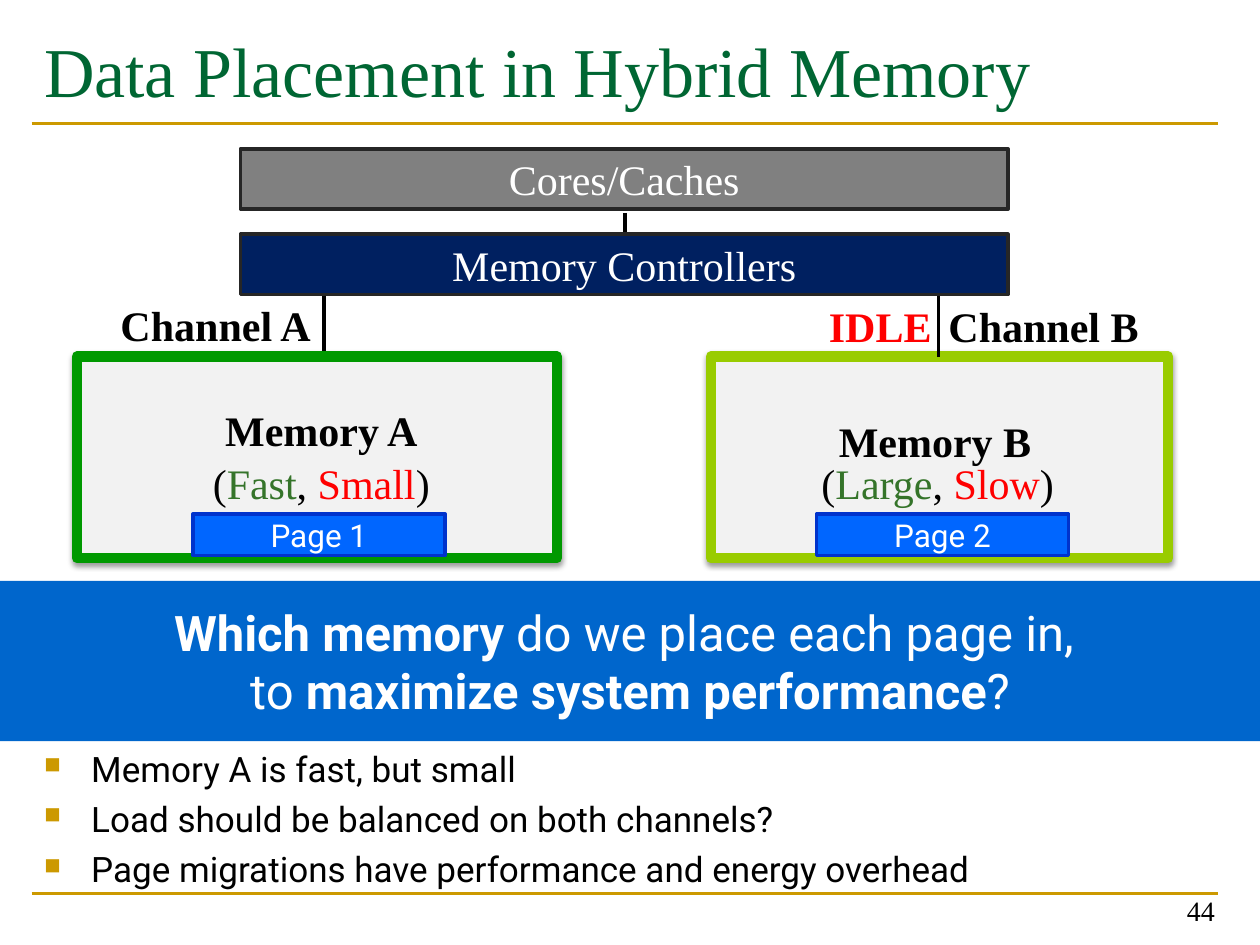
from dataclasses import dataclass

from lxml.etree import SubElement
from pptx import Presentation
from pptx.dml.color import RGBColor
from pptx.enum.shapes import MSO_CONNECTOR, MSO_SHAPE
from pptx.enum.text import MSO_ANCHOR, PP_ALIGN
from pptx.oxml.ns import qn
from pptx.util import Cm, Pt

SERIF = "Times New Roman"
SANS = "Roboto"
BLACK = RGBColor(0x00, 0x00, 0x00)
WHITE = RGBColor(0xFF, 0xFF, 0xFF)
RED = RGBColor(0xFF, 0x00, 0x00)
TITLE_GREEN = RGBColor(0x00, 0x66, 0x33)
GOOD_GREEN = RGBColor(0x35, 0x74, 0x2A)
GOLD = RGBColor(0xCC, 0x99, 0x00)
PALE_GREY = RGBColor(0xF2, 0xF2, 0xF2)
CORE_GREY = RGBColor(0x80, 0x80, 0x80)
DARK_GREY = RGBColor(0x26, 0x26, 0x26)
NAVY = RGBColor(0x00, 0x20, 0x60)
PAGE_BLUE = RGBColor(0x00, 0x66, 0xFF)
PAGE_EDGE = RGBColor(0x00, 0x33, 0xCC)
BANNER_BLUE = RGBColor(0x00, 0x66, 0xCC)
FAST_GREEN = RGBColor(0x00, 0x99, 0x00)
SLOW_GREEN = RGBColor(0x99, 0xCC, 0x00)

LABEL_HEIGHT = 1.27
MEMORY_TOP, MEMORY_HEIGHT = 7.19, 4.06
TRAITS_TOP = 9.09
PAGE_TOP, PAGE_WIDTH, PAGE_HEIGHT = 10.36, 5.08, 0.84
BAR_LEFT, BAR_WIDTH, BAR_HEIGHT = 4.85, 15.47, 1.22


@dataclass(frozen=True)
class Box:
    left: float
    top: float
    width: float
    height: float = LABEL_HEIGHT

    def lengths(self) -> list:
        return [Cm(v) for v in (self.left, self.top, self.width, self.height)]


@dataclass(frozen=True)
class Piece:
    text: str
    size: float = 24
    color: RGBColor = BLACK
    bold: bool = False
    face: str = SERIF


@dataclass(frozen=True)
class Memory:
    body: Box
    edge: RGBColor
    name: Piece
    name_box: Box
    name_wraps: bool
    channel: Piece
    channel_box: Box
    strength: str
    weakness: str
    traits_box: Box
    page: str
    page_left: float


MEMORIES = [
    Memory(Box(1.55, MEMORY_TOP, 9.68, MEMORY_HEIGHT), FAST_GREEN,
           Piece("Memory A", bold=True), Box(4.29, 8.03, 4.6), True,
           Piece("Channel A", bold=True), Box(2.18, 5.92, 4.37),
           "Fast", "Small", Box(4.04, TRAITS_TOP, 4.93), "Page 1", 3.89),
    Memory(Box(14.33, MEMORY_TOP, 9.22, MEMORY_HEIGHT), SLOW_GREEN,
           Piece("Memory B", bold=True), Box(16.66, 8.26, 4.42), False,
           Piece("Channel B", bold=True), Box(18.87, 5.94, 4.39),
           "Large", "Slow", Box(16.31, TRAITS_TOP, 5.26), "Page 2", 16.46),
]


def add_runs(paragraph, pieces: list[Piece]) -> None:
    for piece in pieces:
        run = paragraph.add_run()
        run.text = piece.text
        run.font.name = piece.face
        run.font.size = Pt(piece.size)
        run.font.bold = piece.bold
        run.font.color.rgb = piece.color


def write(frame, lines: list[list[Piece]], align: PP_ALIGN) -> None:
    for index, pieces in enumerate(lines):
        paragraph = frame.add_paragraph() if index else frame.paragraphs[0]
        paragraph.alignment = align
        add_runs(paragraph, pieces)


def add_label(slide, box: Box, pieces: list[Piece], wrap: bool = False,
              align: PP_ALIGN = PP_ALIGN.LEFT, anchor: MSO_ANCHOR = MSO_ANCHOR.TOP) -> None:
    frame = slide.shapes.add_textbox(*box.lengths()).text_frame
    frame.word_wrap = wrap
    frame.vertical_anchor = anchor
    write(frame, [pieces], align)


def add_block(slide, box: Box, fill: RGBColor, edge: RGBColor | None = None,
              edge_width: float = 2, lines: list[list[Piece]] | None = None):
    block = slide.shapes.add_shape(MSO_SHAPE.RECTANGLE, *box.lengths())
    block.shadow.inherit = False
    block.fill.solid()
    block.fill.fore_color.rgb = fill
    if edge is None:
        block.line.fill.background()
    else:
        block.line.color.rgb = edge
        block.line.width = Pt(edge_width)
    block.text_frame.word_wrap = True
    block.text_frame.vertical_anchor = MSO_ANCHOR.MIDDLE
    write(block.text_frame, lines or [], PP_ALIGN.CENTER)
    return block


def add_drop_shadow(block) -> None:
    effects = block.element.spPr.find(qn("a:effectLst"))
    shadow = SubElement(effects, qn("a:outerShdw"), blurRad=str(Pt(3.1)),
                        dist=str(Pt(1.6)), dir="5400000", rotWithShape="0")
    color = SubElement(shadow, qn("a:srgbClr"), val=str(BLACK))
    SubElement(color, qn("a:alpha"), val="38000")


def add_line(slide, start: tuple[float, float], end: tuple[float, float],
             color: RGBColor = BLACK, width: float = 2) -> None:
    line = slide.shapes.add_connector(
        MSO_CONNECTOR.STRAIGHT, *(Cm(v) for v in (*start, *end)))
    line.line.color.rgb = color
    line.line.width = Pt(width)
    SubElement(line.element.spPr, qn("a:effectLst"))


def add_bullets(slide, box: Box, items: list[str]) -> None:
    frame = slide.shapes.add_textbox(*box.lengths()).text_frame
    frame.word_wrap = True
    for index, item in enumerate(items):
        paragraph = frame.add_paragraph() if index else frame.paragraphs[0]
        properties = paragraph._p.get_or_add_pPr()
        properties.set("marL", str(Cm(0.95)))
        properties.set("indent", str(Cm(-0.95)))
        if index:
            paragraph.space_before = Pt(4.7)
        bullet_color = SubElement(properties, qn("a:buClr"))
        SubElement(bullet_color, qn("a:srgbClr"), val=str(GOLD))
        SubElement(properties, qn("a:buSzPct"), val="65000")
        SubElement(properties, qn("a:buChar"), char="■")
        add_runs(paragraph, [Piece(item, 20, face=SANS)])


def add_memory(slide, memory: Memory) -> None:
    add_drop_shadow(add_block(slide, memory.body, PALE_GREY, memory.edge, 6))
    add_label(slide, memory.channel_box, [memory.channel])
    add_label(slide, memory.name_box, [memory.name], memory.name_wraps)
    add_label(slide, memory.traits_box, [
        Piece("("), Piece(memory.strength, color=GOOD_GREEN), Piece(", "),
        Piece(memory.weakness, color=RED), Piece(")")])
    add_block(slide, Box(memory.page_left, PAGE_TOP, PAGE_WIDTH, PAGE_HEIGHT),
              PAGE_BLUE, PAGE_EDGE, lines=[[Piece(memory.page, 18, WHITE, face=SANS)]])


def main() -> None:
    """Build the slide on data placement in hybrid memory."""
    deck = Presentation()
    deck.slide_width, deck.slide_height = Cm(25.4), Cm(19.05)
    slide = deck.slides.add_slide(deck.slide_layouts[6])

    for rule_top in (18.01, 2.49):
        add_line(slide, (0.64, rule_top), (24.56, rule_top), GOLD, 1.5)
    add_label(slide, Box(0.64, 0.43, 23.93, 2.97),
              [Piece("Data Placement in Hybrid Memory", 40, TITLE_GREEN)], True)
    add_bullets(slide, Box(0.64, 14.94, 24.76, 3.63), [
        "Memory A is fast, but small",
        "Load should be balanced on both channels?",
        "Page migrations have performance and energy overhead"])
    add_label(slide, Box(18.82, 17.55, 5.92), [Piece("44", 16)], True,
              PP_ALIGN.RIGHT, MSO_ANCHOR.BOTTOM)

    add_line(slide, (6.53, 7.42), (6.53, 5.92))
    add_line(slide, (12.6, 4.29), (12.6, 4.72))
    for memory in MEMORIES:
        add_memory(slide, memory)
    add_line(slide, (18.92, 7.19), (18.92, 5.72))
    add_label(slide, Box(16.46, 5.94, 2.62), [Piece("IDLE", color=RED, bold=True)])

    add_block(slide, Box(0, 11.71, 25.4, 3.23), BANNER_BLUE, lines=[
        [Piece("Which memory", 28, WHITE, True, SANS),
         Piece(" do we place each page in, ", 28, WHITE, face=SANS)],
        [Piece("to ", 28, WHITE, face=SANS),
         Piece("maximize system performance", 28, WHITE, True, SANS),
         Piece("?", 28, WHITE, face=SANS)]])
    for top, fill, part in ((3, CORE_GREY, "Cores/Caches"), (4.72, NAVY, "Memory Controllers")):
        add_block(slide, Box(BAR_LEFT, top, BAR_WIDTH, BAR_HEIGHT), fill, DARK_GREY,
                  lines=[[Piece(part, color=WHITE)]])
    deck.save("out.pptx")


if __name__ == "__main__":
    main()
